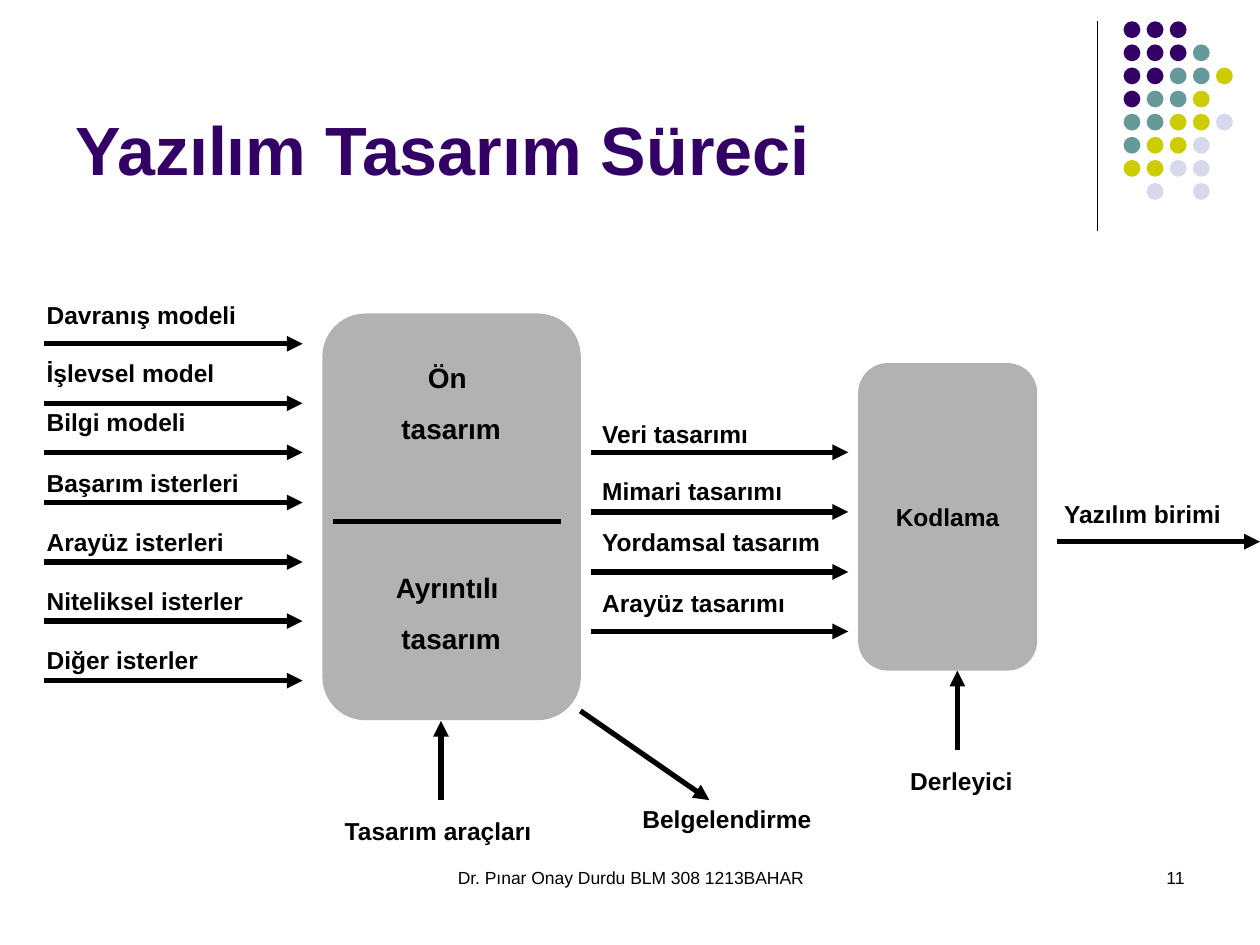
from dataclasses import dataclass

from lxml import etree
from pptx import Presentation
from pptx.dml.color import RGBColor
from pptx.enum.shapes import MSO_CONNECTOR, MSO_SHAPE
from pptx.enum.text import MSO_ANCHOR, PP_ALIGN
from pptx.oxml.ns import qn
from pptx.util import Cm, Pt

LINE = MSO_CONNECTOR.STRAIGHT
OVAL, ROUND = MSO_SHAPE.OVAL, MSO_SHAPE.ROUNDED_RECTANGLE
TOP, MIDDLE, BOTTOM = MSO_ANCHOR.TOP, MSO_ANCHOR.MIDDLE, MSO_ANCHOR.BOTTOM
LEFT, CENTER, RIGHT = PP_ALIGN.LEFT, PP_ALIGN.CENTER, PP_ALIGN.RIGHT


@dataclass(frozen=True)
class Theme:
    font: str = "Arial"
    ink: str = "000000"
    plum: str = "330066"
    teal: str = "669999"
    lime: str = "CCCC00"
    mist: str = "D8D8EC"
    gray: str = "B2B2B2"
    title: int = 39
    stage: int = 16
    label: int = 14
    foot: int = 10
    gap: int = 10
    thin: float = 0.75
    thick: int = 3


class Board:
    """Draws styled elements on the current slide."""

    def __init__(self, slide, theme):
        self.shapes = slide.shapes
        self.theme = theme

    def fill_text(self, frame, text, size, color, bold, align, anchor):
        frame.text = text
        frame.vertical_anchor = anchor
        for i, para in enumerate(frame.paragraphs):
            para.alignment = align
            para.space_before = Pt(self.theme.gap if i else 0)
            for run in para.runs:
                run.font.name = self.theme.font
                run.font.size = Pt(size)
                run.font.bold = bold
                run.font.color.rgb = RGBColor.from_string(color)

    def text(self, box, text, size, color=None, bold=True, align=LEFT, anchor=TOP):
        frame = self.shapes.add_textbox(*map(Cm, box)).text_frame
        frame.word_wrap = True
        self.fill_text(frame, text, size, color or self.theme.ink, bold, align, anchor)

    def label(self, left, top, width, text):
        self.text((left, top, width, 0.86), text, self.theme.label)

    def shape(self, kind, box, color):
        shape = self.shapes.add_shape(kind, *map(Cm, box))
        shape.shadow.inherit = False
        shape.fill.solid()
        shape.fill.fore_color.rgb = RGBColor.from_string(color)
        shape.line.fill.background()
        return shape

    def block(self, box, text=""):
        frame = self.shape(ROUND, box, self.theme.gray).text_frame
        if text:
            frame.word_wrap = False
            self.fill_text(frame, text, self.theme.label, self.theme.ink, True, CENTER, MIDDLE)

    def line(self, ends, width):
        link = self.shapes.add_connector(LINE, *map(Cm, ends))
        link.line.color.rgb = RGBColor.from_string(self.theme.ink)
        link.line.width = Pt(width)
        etree.SubElement(link._element.spPr, qn("a:effectLst"))
        return link

    def arrow(self, *ends):
        link = self.line(ends, self.theme.thick)
        outline = link._element.spPr.find(qn("a:ln"))
        etree.SubElement(outline, qn("a:tailEnd"), type="triangle")

    def flows(self, left, start, end, rows):
        for text, top, level in rows:
            self.label(left, top, 5.41, text)
            self.arrow(start, level, end, level)

    def dots(self, left, top, step, size, rows):
        theme = self.theme
        colors = {"p": theme.plum, "t": theme.teal, "l": theme.lime, "m": theme.mist}
        for r, row in enumerate(rows):
            for c, key in enumerate(row):
                if key in colors:
                    box = (left + c * step, top + r * step, size, size)
                    self.shape(OVAL, box, colors[key])


DOTS = ("ppp", "pppt", "ppttl", "pttl", "ttllm", "tllm", "llmm", ".m.m")
INPUTS = (
    ("Davranış modeli", 5.92, 6.93),
    ("İşlevsel model", 7.09, 8.13),
    ("Bilgi modeli", 8.08, 9.12),
    ("Başarım isterleri", 9.32, 10.13),
    ("Arayüz isterleri", 10.49, 11.33),
    ("Niteliksel isterler", 11.68, 12.52),
    ("Diğer isterler", 12.88, 13.72),
)
OUTPUTS = (
    ("Veri tasarımı", 8.33, 9.12),
    ("Mimari tasarımı", 9.47, 10.32),
    ("Yordamsal tasarım", 10.49, 11.53),
    ("Arayüz tasarımı", 11.73, 12.73),
)
STAGES = (("Ön \ntasarım", 7.14), ("Ayrıntılı \ntasarım", 11.38))


def main():
    deck = Presentation()
    deck.slide_width, deck.slide_height = Cm(25.4), Cm(19.05)
    theme = Theme()
    board = Board(deck.slides.add_slide(deck.slide_layouts[6]), theme)

    board.line((22.12, 0.43, 22.12, 4.65), theme.thin)
    board.dots(22.65, 0.43, 3.26 / 7, 0.34, DOTS)
    board.text((8.69, 17.35, 8.05, 1.27), "Dr. Pınar Onay Durdu BLM 308 1213BAHAR",
               theme.foot, bold=False, align=CENTER)
    board.text((18.21, 17.35, 5.92, 1.27), "11", theme.foot, bold=False, align=RIGHT)
    board.text((1.27, 0.33, 20.96, 3.6), "Yazılım Tasarım Süreci",
               theme.title, theme.plum, anchor=BOTTOM)

    board.block((6.5, 6.32, 5.21, 8.2))
    for text, top in STAGES:
        board.text((7.29, top, 3.61, 1.96), text, theme.stage, align=CENTER)
    board.line((6.71, 10.52, 11.3, 10.52), theme.thick)
    board.flows(0.69, 0.89, 6.1, INPUTS)

    board.block((17.3, 7.32, 3.61, 6.2), "Kodlama")
    board.flows(11.89, 11.91, 17.1, OUTPUTS)
    board.label(21.2, 9.93, 4.2, "Yazılım birimi")
    board.arrow(21.31, 10.92, 25.4, 10.92)

    board.arrow(8.89, 16.13, 8.89, 14.53)
    board.label(6.7, 16.33, 5, "Tasarım araçları")
    board.arrow(19.3, 15.11, 19.3, 13.52)
    board.label(18.1, 15.32, 2.7, "Derleyici")
    board.label(12.7, 16.08, 4.4, "Belgelendirme")
    board.arrow(11.7, 14.33, 14.3, 16.13)

    deck.save("out.pptx")


if __name__ == "__main__":
    main()
